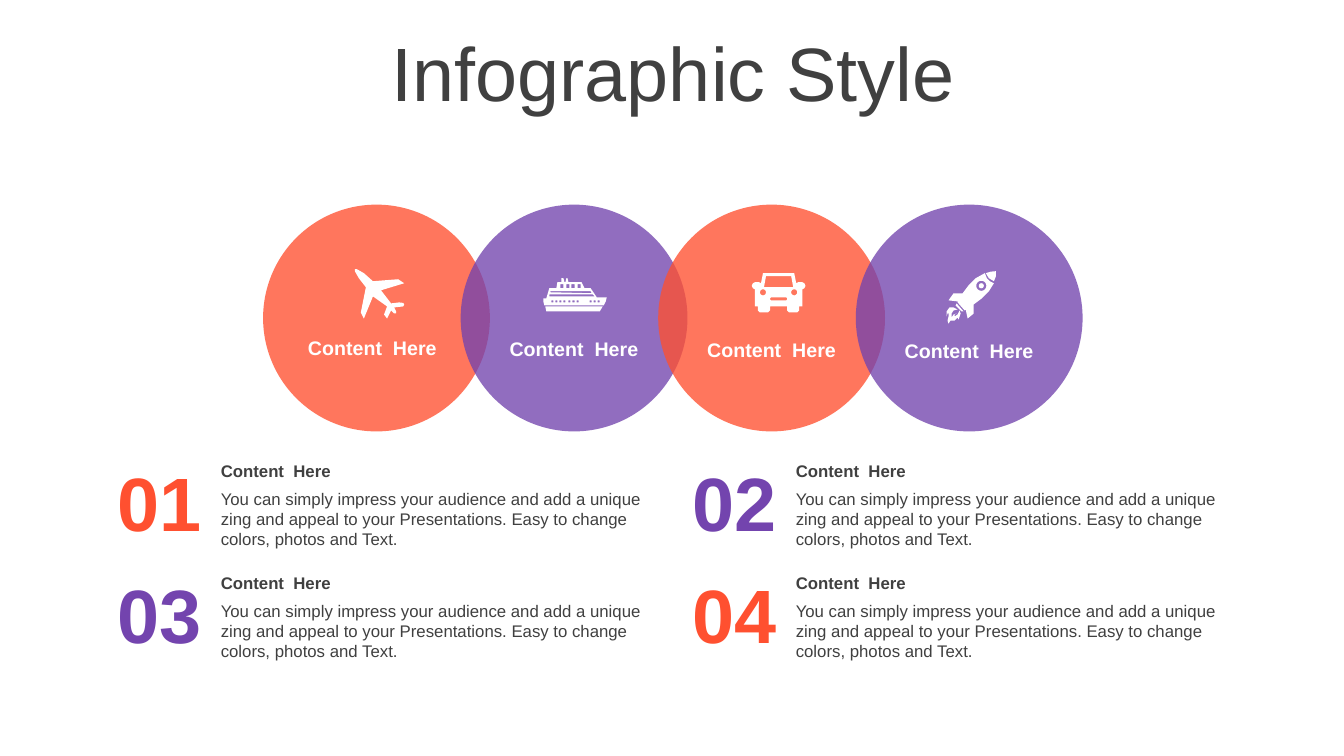
from math import cos, sin, pi
from lxml import etree
from pptx import Presentation
from pptx.dml.color import RGBColor
from pptx.enum import shapes, text
from pptx.util import Pt

ORANGE = RGBColor(0xFF, 0x50, 0x30)
PURPLE = RGBColor(0x73, 0x44, 0xAE)
GREY = RGBColor(0x40, 0x40, 0x40)
WHITE = RGBColor(0xFF, 0xFF, 0xFF)

TITLE = "Infographic Style"
HEAD = "Content  Here"
BODY = ("You can simply impress your audience and add a unique zing and appeal "
        "to your Presentations. Easy to change colors, photos and Text.")
ITEMS = [("01", ORANGE), ("02", PURPLE), ("03", PURPLE), ("04", ORANGE)]
RINGS = [(ORANGE, -2.88), (PURPLE, 0), (ORANGE, 0), (PURPLE, 0)]


def box(x, y, w, h):
    return [(x, y), (x + w, y), (x + w, y + h), (x, y + h)]


def disc(x, y, r):
    return [(x + r * cos(k * pi / 12), y + r * sin(k * pi / 12)) for k in range(24)]


PLANE = [[(48, 37), (39, 38), (41, 42), (41, 44), (39, 44), (36, 41), (32, 49),
          (29, 45), (32, 37), (18, 27), (9, 49), (6, 43), (11, 18), (4, 9),
          (0, 2), (0, 0), (2, 0), (9, 4), (18, 12), (43, 10), (49, 14),
          (26, 21), (36, 34), (44, 33), (48, 33.5), (49, 35)]]
SHIP = [
    [(23, 0), (24, 0), (25, 4), (38, 4), (41, 10), (47, 10), (53, 19), (63, 19),
     (62, 23), (60, 27), (1, 27), (0, 23), (0, 20), (3, 20), (6, 10), (13, 10),
     (14, 4), (18, 4), (18, 0), (20, 0), (21, 4), (22, 4)],
    [(2, 28), (59, 28), (56, 33), (3, 33)],
    [(6, 16), (6, 18), (51, 18), (49, 16)],
    [(7, 13), (7, 14), (48, 15), (47, 13)],
    *[box(x, 22, 2, 2) for x in (8, 12, 16, 20, 25, 29, 33, 46, 50, 54)],
    *[box(x, 6, 3, 4) for x in (17, 23, 28, 34)],
]
CAR = [
    [(11, 0), (42, 0), (44, 10), (46, 9), (50, 9), (52, 10), (53, 12), (53, 13),
     (52, 15), (50, 16), (50, 33), (47, 33), (47, 37), (45, 39), (37, 39),
     (35, 37), (35, 33), (18, 33), (18, 37), (16, 39), (8, 39), (6, 37),
     (6, 33), (3, 33), (3, 16), (1, 15), (0, 13), (0, 12), (1, 10), (3, 9),
     (7, 9), (9, 10)],
    [(14, 3), (12, 14), (41, 14), (39, 3)],
    [(19, 24), (34, 24), (35, 25), (35, 26), (34, 27), (19, 27), (18, 26), (18, 25)],
    disc(11, 19, 3), disc(42, 19, 3),
]
ROCKET = [
    [(39, 2), (41, 7), (44, 10), (48, 12), (43, 20), (36, 27), (28, 33), (28, 42),
     (22, 47), (20, 38), (19, 39), (12, 31), (12, 30), (3, 29), (8, 22),
     (17, 22), (23, 14), (30, 7)],
    [(50, 0), (50, 5), (48, 10), (43, 7), (40, 2), (45, 0.5)],
    [(11, 32), (18, 40), (16, 40), (10, 34)],
    [(12, 38), (8, 39), (6, 42), (6, 46), (8, 43), (11, 42), (9, 43), (9, 45),
     (12, 43), (14, 39), (15, 42), (13, 48), (12, 46), (9, 49), (5, 49),
     (3, 52), (2, 49), (3, 45), (3, 42), (2, 42), (1, 45), (1, 40), (4, 36),
     (8, 36)],
    disc(35.5, 14.5, 5), disc(35.5, 14.5, 2.5),
]
ICONS = [(PLANE, 253.44, 192.24), (SHIP, 388.08, 198.72),
         (CAR, 537.12, 195.12), (ROCKET, 675.36, 193.68)]

SIZE, STEP, LEFT, TOP = 162, 141.12, 187.92, 146.16
ACROSS, DOWN = 410.76, 80
UNIT = 0.72

deck = Presentation()
deck.slide_width, deck.slide_height = Pt(960), Pt(540)
page = deck.slides.add_slide(deck.slide_layouts[5])


def write(shape, words, align, font, frame):
    tf = shape.text_frame
    for key, val in {"word_wrap": True, "auto_size": text.MSO_AUTO_SIZE.NONE,
                     "vertical_anchor": text.MSO_ANCHOR.MIDDLE, **frame}.items():
        setattr(tf, key, val)
    tf.text = words
    par = tf.paragraphs[0]
    par.alignment = align
    size, bold, color = font
    for key, val in {"name": "Arial", "size": Pt(size), "bold": bold}.items():
        setattr(par.font, key, val)
    par.font.color.rgb = color
    return par


def label(words, spot, align, font, **frame):
    shape = page.shapes.add_textbox(*map(Pt, spot))
    write(shape, words, align, font, frame)


def paint(shape, color):
    shape.shadow.inherit = False
    shape.fill.solid()
    shape.fill.fore_color.rgb = color
    shape.line.fill.background()


def fade(shape, share):
    tone = shape.fill._xPr.find(".//{*}srgbClr")
    etree.SubElement(tone, tone.tag.replace("srgbClr", "alpha"), val=str(share * 1000))


def draw(parts, left, top):
    pen = None
    for part in parts:
        dots = [((left + x * UNIT) * 100, (top + y * UNIT) * 100) for x, y in part]
        if pen is None:
            pen = page.shapes.build_freeform(*dots[0], scale=Pt(1) / 100)
        else:
            pen.move_to(*dots[0])
        pen.add_line_segments(dots[1:], close=True)
    paint(pen.convert_to_shape(), WHITE)


MID, NEAR, FAR = text.PP_ALIGN.CENTER, text.PP_ALIGN.LEFT, text.PP_ALIGN.RIGHT

title = page.shapes.title
for key, val in zip(("left", "top", "width", "height"), (25.2, 26.64, 911.52, 56.88)):
    setattr(title, key, Pt(val))
write(title, TITLE, MID, (54, False, GREY), {}).line_spacing = 0.9

for i, (color, _) in enumerate(RINGS):
    ring = page.shapes.add_shape(shapes.MSO_SHAPE.OVAL, Pt(LEFT + i * STEP),
                                 Pt(TOP), Pt(SIZE), Pt(SIZE))
    paint(ring, color)
    fade(ring, 78)

for i, (num, color) in enumerate(ITEMS):
    row, col = divmod(i, 2)
    x, y = col * ACROSS, 325.44 + row * DOWN
    label(HEAD, (157.68 + x, y, 320.4, 21.6), NEAR, (12, True, GREY), margin_left=0)
    label(BODY, (157.68 + x, y + 20.16, 320.4, 51.12), NEAR, (12, False, GREY),
          margin_left=0, vertical_anchor=text.MSO_ANCHOR.TOP)
    label(num, (76.32 + x, y, 67.68, 65.52), FAR, (54, True, color),
          margin_left=0, margin_top=0, margin_right=0, margin_bottom=0)

for i, (_, shift) in enumerate(RINGS):
    x = LEFT + i * STEP + (SIZE - 124.56) / 2 + shift
    label(HEAD, (x, 236.16 + i * UNIT, 124.56, 24.48), MID, (14, True, WHITE))

for icon in ICONS:
    draw(*icon)

deck.save("out.pptx")
